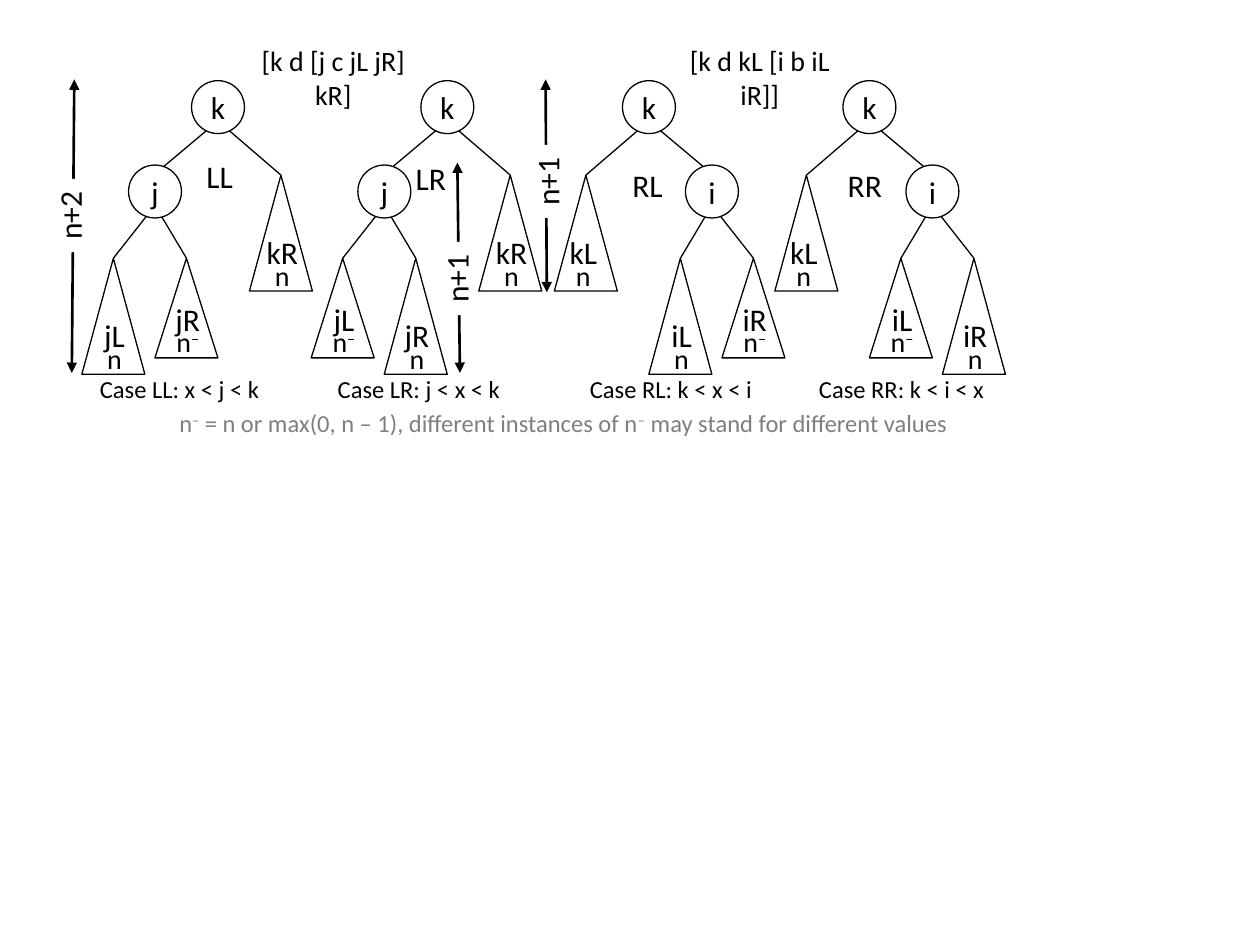
from dataclasses import dataclass

from lxml.etree import SubElement
from pptx import Presentation
from pptx.dml.color import RGBColor
from pptx.enum.shapes import MSO_CONNECTOR, MSO_SHAPE
from pptx.enum.text import MSO_ANCHOR, MSO_AUTO_SIZE, PP_ALIGN
from pptx.oxml.ns import qn
from pptx.slide import Slide
from pptx.util import Inches, Pt

BLACK = RGBColor(0x00, 0x00, 0x00)
WHITE = RGBColor(0xFF, 0xFF, 0xFF)
GRAY = RGBColor(0x7F, 0x7F, 0x7F)


@dataclass
class Diagram:
    """Draws the parts of rotation diagrams on one slide in a shared style."""

    s: Slide
    font: str = "Calibri"
    node: float = 0.42
    base: float = 0.5

    def fill_text(self, tf, lines, align=PP_ALIGN.CENTER, color=BLACK):
        for i, (text, size, spacing) in enumerate(lines):
            p = tf.paragraphs[0] if i == 0 else tf.add_paragraph()
            for name, value in {"alignment": align, "line_spacing": spacing}.items():
                setattr(p, name, value)
            for j, part in enumerate(text.split("^")):
                if not part:
                    continue
                r = p.add_run()
                r.text = part
                for name, value in {"name": self.font, "size": Pt(size)}.items():
                    setattr(r.font, name, value)
                r.font.color.rgb = color
                if j % 2:
                    r._r.get_or_add_rPr().set("baseline", "30000")

    def text(self, x, y, w, h, lines, wrap=True, **style):
        sp = self.s.shapes.add_textbox(Inches(x), Inches(y), Inches(w), Inches(h))
        tf = sp.text_frame
        fmt = {"word_wrap": wrap, "auto_size": MSO_AUTO_SIZE.SHAPE_TO_FIT_TEXT}
        for name, value in fmt.items():
            setattr(tf, name, value)
        self.fill_text(tf, lines, **style)
        return sp

    def shape(self, kind, x, y, w, h):
        sp = self.s.shapes.add_shape(kind, Inches(x), Inches(y), Inches(w), Inches(h))
        sp.shadow.inherit = False
        sp.line.color.rgb = BLACK
        sp.line.width = Pt(0.75)
        return sp

    def line(self, x1, y1, x2, y2, width=0.75):
        ends = [Inches(v) for v in (x1, y1, x2, y2)]
        sp = self.s.shapes.add_connector(MSO_CONNECTOR.STRAIGHT, *ends)
        sp.line.color.rgb = BLACK
        sp.line.width = Pt(width)
        SubElement(sp._element.spPr, qn("a:effectLst"))
        return sp

    def circle(self, x, y, label):
        sp = self.shape(MSO_SHAPE.OVAL, x - self.node / 2, y, self.node, self.node)
        sp.fill.solid()
        sp.fill.fore_color.rgb = WHITE
        tf = sp.text_frame
        fmt = dict.fromkeys(("margin_left", "margin_right", "margin_top", "margin_bottom"), 0)
        for name, value in {**fmt, "vertical_anchor": MSO_ANCHOR.MIDDLE}.items():
            setattr(tf, name, value)
        self.fill_text(tf, [(label, 18, None)])

    def subtree(self, x, y, h, label, size):
        sp = self.shape(MSO_SHAPE.ISOSCELES_TRIANGLE, x - self.base / 2, y, self.base, h)
        sp.fill.background()
        nudge = -0.02 if label == "kL" else 0.01
        self.text(x + nudge - 0.3, y + h - 0.51, 0.6, 0.57,
                  [(label, 18, None), (size, 16, Pt(12))])
        return sp

    def branch(self, x, y, triangle):
        top = triangle.left + triangle.width // 2
        sp = self.line(x, y, top / Inches(1), triangle.top / Inches(1))
        sp.end_connect(triangle, 0)

    def tree(self, x, side, child, outer_tall):
        cx = x + side * 0.5
        far, near = ("L", "R") if side < 0 else ("R", "L")
        self.line(x, 0.96, cx, 1.38)
        self.branch(x, 0.96, self.subtree(x - side * 0.5, 1.39, 0.92, "k" + near, "n"))
        for tx, letter, tall in ((cx + side * 0.33, far, outer_tall),
                                 (cx - side * 0.25, near, not outer_tall)):
            h, size = (0.92, "n") if tall else (0.79, "n^–")
            self.branch(cx, 1.63, self.subtree(tx, 2.05, h, child + letter, size))
        self.circle(x, 0.64, "k")
        self.circle(cx, 1.31, child)

    def height(self, x1, y1, x2, y2, label, cx, cy):
        ln = self.line(x1, y1, x2, y2, 1.5).line._get_or_add_ln()
        for tag in ("a:headEnd", "a:tailEnd"):
            SubElement(ln, qn(tag), type="triangle")
        sp = self.text(cx - 0.29, cy - 0.2, 0.58, 0.4, [(label, 18, None)],
                       wrap=False, align=PP_ALIGN.LEFT)
        sp.rotation = 270
        sp.fill.solid()
        sp.fill.fore_color.rgb = WHITE


def main():
    prs = Presentation()
    prs.slide_width, prs.slide_height = Inches(10), Inches(7.5)
    d = Diagram(prs.slides.add_slide(prs.slide_layouts[6]))

    for x, w, term in ((1.81, 1.67, "[k d [j c jL jR] kR]"),
                       (5.2, 1.66, "[k d kL [i b iL iR]]")):
        d.text(x, 0.3, w, 0.37, [(term, 16, None)], wrap=False)

    for arrow in ((4.33, 0.63, 4.34, 2.32, "n+1", 4.34, 1.44),
                  (3.63, 1.29, 3.65, 2.96, "n+1", 3.62, 2.21),
                  (0.59, 0.63, 0.57, 2.96, "n+2", 0.55, 1.71)):
        d.height(*arrow)

    cases = (
        ("LL", 1.73, -1, "j", True, 1.54, 1.2, 0.41, 0.67, "x < j < k"),
        ("LR", 3.55, -1, "j", False, 3.2, 1.21, 0.44, 2.57, "j < x < k"),
        ("RL", 5.15, 1, "i", False, 4.92, 1.27, 0.44, 4.57, "k < x < i"),
        ("RR", 6.9, 1, "i", True, 6.63, 1.27, 0.47, 6.4, "k < i < x"),
    )
    for name, root, side, child, outer_tall, x, y, w, caption_x, order in cases:
        d.text(x, y, w, 0.4, [(name, 18, None)], wrap=False, align=PP_ALIGN.LEFT)
        d.tree(root, side, child, outer_tall)
        d.text(caption_x, 2.99, 1.51, 0.27, [(f"Case {name}: {order}", 14, Pt(12))])

    note = "n^–^ = n or max(0, n – 1), different instances of n^–^ may stand for different values"
    d.text(1.19, 3.26, 6.56, 0.27, [(note, 14, Pt(12))], color=GRAY)
    prs.save("out.pptx")


if __name__ == "__main__":
    main()
